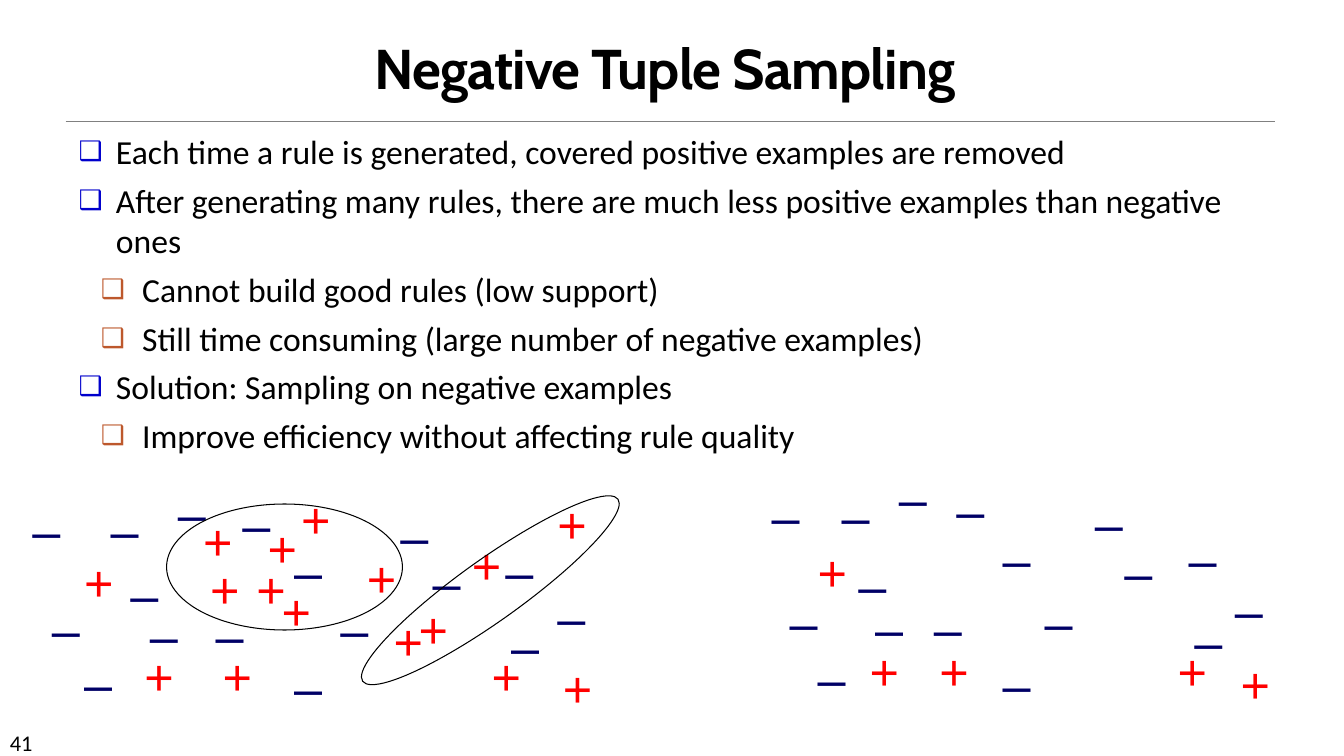
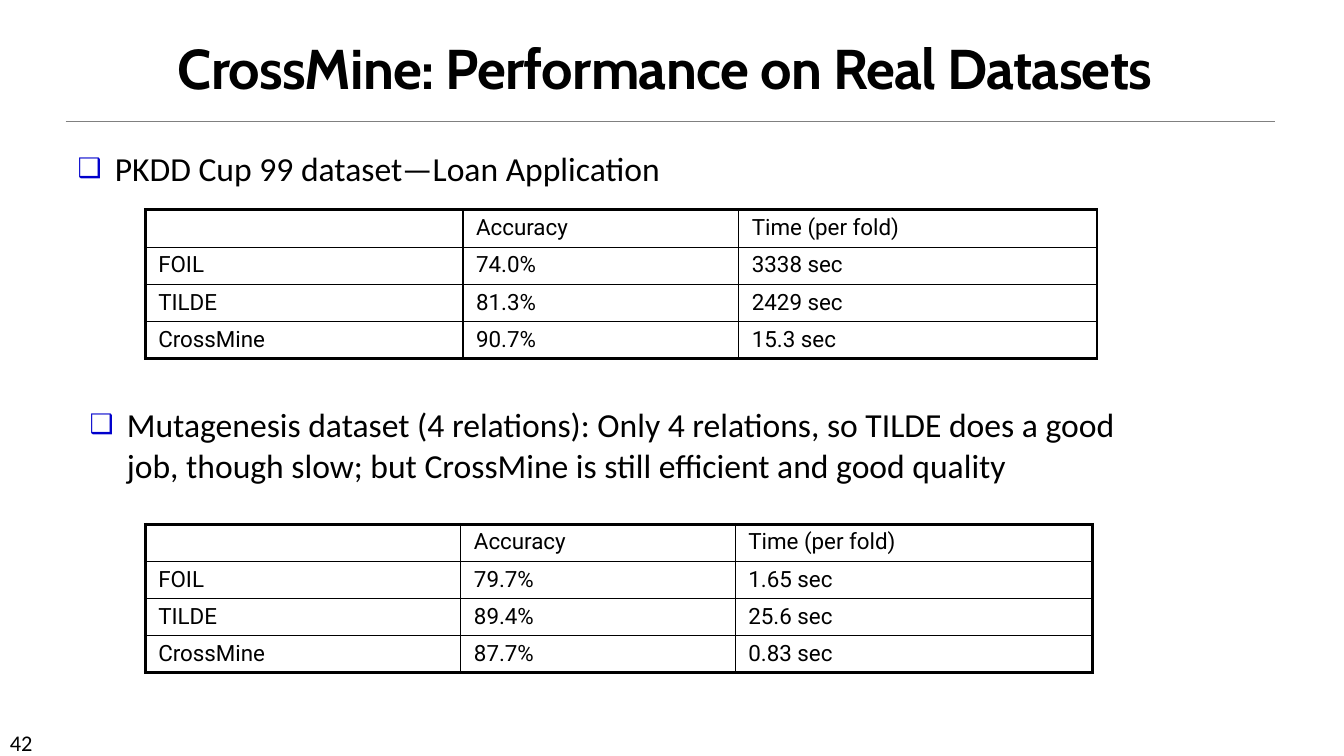
from dataclasses import dataclass

from lxml import etree
from pptx import Presentation
from pptx import util as u
from pptx.dml import color
from pptx.enum import shapes, text
from pptx.oxml import ns

Pt = u.Pt


@dataclass(frozen=True)
class Theme:
    ink: str = "000000"
    rule: str = "808080"
    positive: str = "FF0000"
    negative: str = "000066"
    bullets: tuple = ("0000CC", "BD582C")
    title_font: str = "Cabin"
    body_font: str = "Calibri"
    sign_font: str = "Arial"
    table_font: str = "Roboto"
    title_size: int = 40
    body_size: int = 24
    sign_size: int = 36
    small_size: int = 16


THEME = Theme()
FIRST_NUMBER = 41
INDENTS = ((26.64, -26.64), (45.36, -29.52))

POINTS = [
    (0, "Each time a rule is generated, covered positive examples are removed"),
    (0, "After generating many rules, there are much less positive examples than negative ones"),
    (1, "Cannot build good rules (low support)"),
    (1, "Still time consuming (large number of negative examples)"),
    (0, "Solution: Sampling on negative examples"),
    (1, "Improve efficiency without affecting rule quality"),
]

ALL_POSITIVES = [
    (395, 466), (138, 361), (208, 345), (255, 387), (184, 366), (176, 395),
    (143, 395), (194, 411), (274, 432), (53, 390), (96, 457), (391, 349),
    (344, 457), (152, 457), (292, 424), (330, 378),
]
ALL_NEGATIVES = [
    (203, 465), (86, 399), (120, 341), (72, 353), (16, 353), (30, 424),
    (100, 428), (53, 462), (147, 428), (203, 382), (166, 349), (302, 390),
    (279, 357), (354, 382), (358, 436), (236, 424), (391, 415),
]
RULES = [((119, 360, 168.5, 90), 0), ((238.3, 399.6, 224, 44), -35.5)]
LEFT_POSITIVES = [(577, 383), (614, 454), (879, 463), (834, 454), (664, 454)]
SAMPLED_NEGATIVES = [
    (606, 392), (635, 330), (594, 343), (544, 343), (557, 419), (618, 423),
    (577, 459), (660, 423), (709, 374), (676, 339), (709, 463), (796, 383),
    (775, 348), (842, 374), (846, 432), (739, 419), (875, 410),
]

HEADER = ("", "Accuracy", "Time (per fold)")
LOAN_RESULTS = [
    HEADER,
    ("FOIL", "74.0%", "3338 sec"),
    ("TILDE", "81.3%", "2429 sec"),
    ("CrossMine", "90.7%", "15.3 sec"),
]
MUTAGENESIS_RESULTS = [
    HEADER,
    ("FOIL", "79.7%", "1.65 sec"),
    ("TILDE", "89.4%", "25.6 sec"),
    ("CrossMine", "87.7%", "0.83 sec"),
]


def rgb(code):
    return color.RGBColor.from_string(code)


def box(*lengths):
    return [Pt(length) for length in lengths]


def place(shape, left, top, width, height):
    shape.left, shape.top, shape.width, shape.height = box(left, top, width, height)


def add_run(paragraph, words, font, size, ink=THEME.ink):
    run = paragraph.add_run()
    run.text = words
    run.font.name = font
    run.font.size = Pt(size)
    run.font.color.rgb = rgb(ink)
    return run


def prepare(frame):
    frame.word_wrap = True
    frame.auto_size = text.MSO_AUTO_SIZE.NONE
    return frame


def add_text(container, bounds, words, font, size, ink=THEME.ink):
    frame = prepare(container.add_textbox(*box(*bounds)).text_frame)
    add_run(frame.paragraphs[0], words, font, size, ink)


def add_bullet(paragraph, level):
    paragraph.level = level
    margin, hanging = INDENTS[level]
    properties = paragraph._p.get_or_add_pPr()
    properties.set("marL", str(Pt(margin)))
    properties.set("indent", str(Pt(hanging)))
    tint = etree.SubElement(properties, ns.qn("a:buClr"))
    etree.SubElement(tint, ns.qn("a:srgbClr"), val=THEME.bullets[level])
    etree.SubElement(properties, ns.qn("a:buSzPct"), val="80000")
    etree.SubElement(properties, ns.qn("a:buFont"), typeface=THEME.sign_font)
    etree.SubElement(properties, ns.qn("a:buChar"), char="❑")


def fill_list(frame, points):
    prepare(frame).vertical_anchor = text.MSO_ANCHOR.TOP
    for index, (level, words) in enumerate(points):
        paragraph = frame.add_paragraph() if index else frame.paragraphs[0]
        add_bullet(paragraph, level)
        paragraph.space_before = Pt(6 if index else 0)
        add_run(paragraph, words, THEME.body_font, THEME.body_size)


def add_rule(slide):
    rule = slide.shapes.add_connector(
        shapes.MSO_CONNECTOR.STRAIGHT, *box(46.8, 86.4, 910.8, 86.4))
    rule.line.color.rgb = rgb(THEME.rule)
    rule.line.width = Pt(0.5)
    etree.SubElement(rule._element.spPr, ns.qn("a:effectLst"))


def add_slide(deck, heading, body_bounds, points):
    slide = deck.slides.add_slide(deck.slide_layouts[1])
    add_rule(slide)
    number = FIRST_NUMBER + len(deck.slides) - 1
    add_text(slide.shapes, (0, 517, 84, 21.6), str(number),
             THEME.body_font, THEME.small_size)
    title = slide.shapes.title
    place(title, 27.4, 22.3, 895, 53.3)
    frame = prepare(title.text_frame)
    frame.vertical_anchor = text.MSO_ANCHOR.BOTTOM
    paragraph = frame.paragraphs[0]
    paragraph.alignment = text.PP_ALIGN.CENTER
    paragraph.line_spacing = 0.85
    run = add_run(paragraph, heading, THEME.title_font, THEME.title_size)
    run.font.bold = True
    run.font._element.set("spc", "-50")
    body = slide.placeholders[1]
    place(body, *body_bounds)
    fill_list(body.text_frame, points)
    return slide


def add_signs(group, sign, ink, width, spots):
    for left, top in spots:
        add_text(group.shapes, (left, top, width, 50.4), sign,
                 THEME.sign_font, THEME.sign_size, ink)


def add_examples(slide, positives, negatives, widths, rules=()):
    group = slide.shapes.add_group_shape()
    add_signs(group, "+", THEME.positive, widths[0], positives)
    add_signs(group, "–", THEME.negative, widths[1], negatives)
    for bounds, angle in rules:
        rule = group.shapes.add_shape(shapes.MSO_SHAPE.OVAL, *box(*bounds))
        rule.rotation = angle
        rule.shadow.inherit = False
        rule.fill.background()
        rule.line.color.rgb = rgb(THEME.ink)
        rule.line.width = Pt(0.75)


def add_borders(cell, outer_sides):
    properties = cell._tc.get_or_add_tcPr()
    for side in "LRTB":
        width = Pt(2.25 if side in outer_sides else 1)
        line = etree.SubElement(properties, ns.qn(f"a:ln{side}"), w=str(width))
        fill = etree.SubElement(line, ns.qn("a:solidFill"))
        etree.SubElement(fill, ns.qn("a:srgbClr"), val=THEME.ink)
    cell.fill.background()


def add_results(slide, top, widths, results):
    row_height = 26.5
    table = slide.shapes.add_table(
        len(results), len(widths),
        *box(103.7, top, sum(widths), row_height * len(results))).table
    table.first_row = table.horz_banding = False
    for column, width in zip(table.columns, widths):
        column.width = Pt(width)
    for r, values in enumerate(results):
        table.rows[r].height = Pt(row_height)
        for c, value in enumerate(values):
            cell = table.cell(r, c)
            cell.margin_left = cell.margin_right = Pt(9.4)
            edges = {"L": c == 0, "R": c == len(widths) - 1,
                     "T": r == 0, "B": r == len(results) - 1}
            add_borders(cell, [side for side, outer in edges.items() if outer])
            paragraph = cell.text_frame.paragraphs[0]
            if value:
                add_run(paragraph, value, THEME.table_font, THEME.small_size)
            else:
                etree.SubElement(paragraph._p, ns.qn("a:endParaRPr"),
                                 sz=str(THEME.small_size * 100))


def build_sampling(deck):
    slide = add_slide(deck, "Negative Tuple Sampling", (49, 90, 855.4, 248.4), POINTS)
    add_examples(slide, ALL_POSITIVES, ALL_NEGATIVES, (24, 33), RULES)
    add_examples(slide, LEFT_POSITIVES, SAMPLED_NEGATIVES, (21, 29))


def build_performance(deck):
    slide = add_slide(deck, "CrossMine: Performance on Real Datasets",
                      (48.2, 102.2, 514, 33.8),
                      [(0, "PKDD Cup 99 dataset—Loan Application")])
    add_results(slide, 149.8, (227, 197, 256), LOAN_RESULTS)
    add_results(slide, 374.4, (225.5, 196, 255), MUTAGENESIS_RESULTS)
    finding = slide.shapes.add_textbox(*box(56.9, 285.1, 757.4, 72.7))
    fill_list(finding.text_frame, [
        (0, "Mutagenesis dataset (4 relations): Only 4 relations, so TILDE does a good "
            "job, though slow; but CrossMine is still efficient and good quality")])


def main():
    deck = Presentation()
    deck.slide_width, deck.slide_height = box(960, 540)
    build_sampling(deck)
    build_performance(deck)
    deck.save("out.pptx")


if __name__ == "__main__":
    main()
